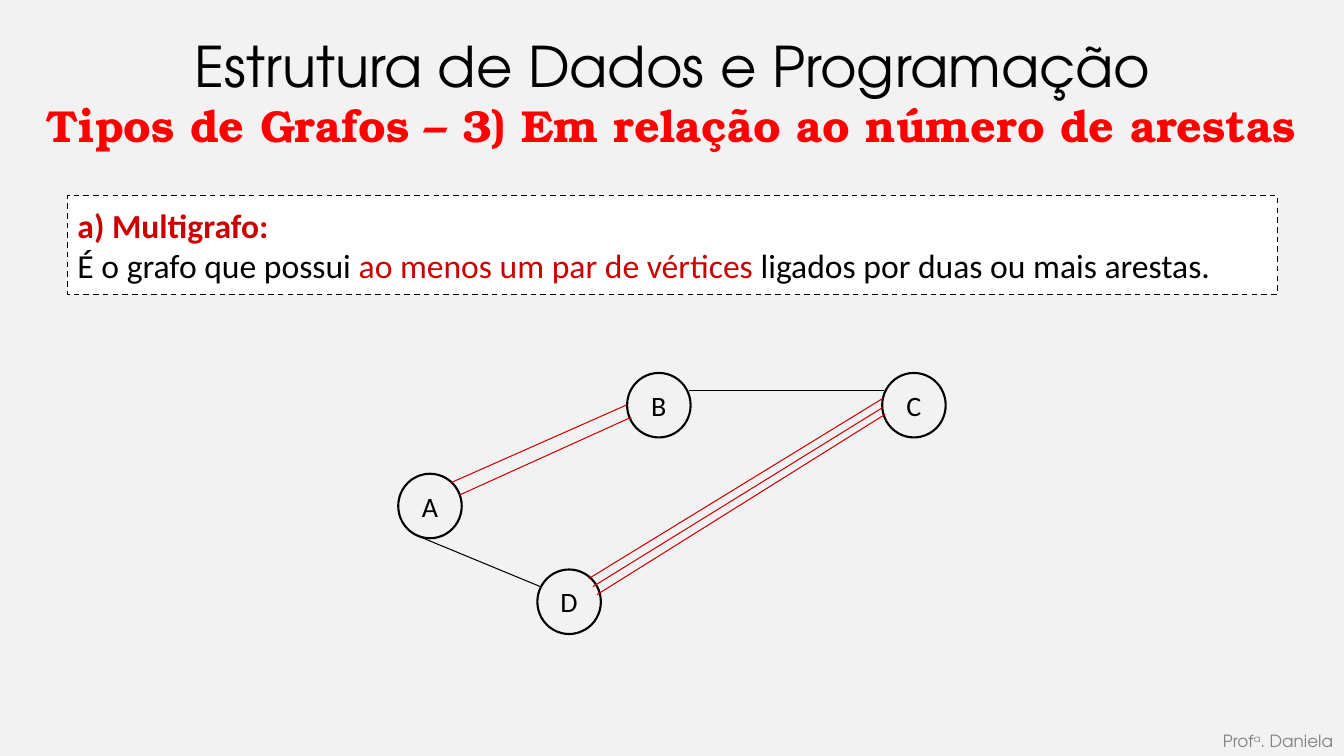
from pptx import Presentation
from pptx.dml.color import RGBColor
from pptx.enum import dml, shapes, text
from pptx.oxml.ns import qn
from pptx.util import Inches, Pt
from lxml import etree

SANS, HEAD, SERIF = "Calibri", "TeX Gyre Adventor", "TeX Gyre Bonum"
BLACK, RED = "000000", "CC0000"
ALIGN = text.PP_ALIGN


def paint(color, code):
    color.rgb = RGBColor.from_string(code)


def style(run, size, name, code, bold=False):
    run.font.size, run.font.name, run.font.bold = Pt(size), name, bold
    paint(run.font.color, code)


def outline(line, code, width):
    line.width = Pt(width)
    line.fill.solid()
    paint(line.fill.fore_color, code)


def label(slide, box, parts, size, name, code, align, bold=False):
    """Add one line of text made of parts and return its runs."""
    frame = slide.shapes.add_textbox(*map(Inches, box)).text_frame
    frame.word_wrap = True
    frame.vertical_anchor = text.MSO_ANCHOR.MIDDLE
    par = frame.paragraphs[0]
    par.alignment = align
    for part in parts:
        run = par.add_run()
        run.text = part
        style(run, size, name, code, bold)
    return par.runs


def define(slide, box):
    """Add the dashed box with the definition."""
    panel = slide.shapes.add_shape(shapes.MSO_SHAPE.RECTANGLE, *map(Inches, box))
    panel.shadow.inherit = False
    panel.fill.solid()
    paint(panel.fill.fore_color, "FFFFFF")
    outline(panel.line, BLACK, 1)
    panel.line.dash_style = dml.MSO_LINE.DASH
    frame = panel.text_frame
    frame.word_wrap = True
    frame.vertical_anchor = text.MSO_ANCHOR.MIDDLE
    rows = [
        [("a) Multigrafo:", RED, True)],
        [("É o grafo que possui ", BLACK, False),
         ("ao menos um par de vértices", RED, False),
         (" ligados por duas ou mais arestas.", BLACK, False)],
    ]
    for i, row in enumerate(rows):
        par = frame.add_paragraph() if i else frame.paragraphs[0]
        par.alignment = ALIGN.LEFT
        for words, code, bold in row:
            run = par.add_run()
            run.text = words
            style(run, 24, SANS, code, bold)


def node(group, name, x, y):
    disc = group.shapes.add_shape(
        shapes.MSO_SHAPE.OVAL, *map(Inches, (x, y, 0.63, 0.64)))
    disc.shadow.inherit = False
    disc.fill.background()
    outline(disc.line, BLACK, 1.5)
    frame = disc.text_frame
    frame.margin_left = frame.margin_right = 0
    frame.vertical_anchor = text.MSO_ANCHOR.MIDDLE
    frame.text = name
    par = frame.paragraphs[0]
    par.alignment = ALIGN.CENTER
    style(par.runs[0], 20, SANS, BLACK)


def edge(group, ends, code):
    line = group.shapes.add_connector(
        shapes.MSO_CONNECTOR.STRAIGHT, *map(Inches, ends))
    outline(line.line, code, 0.75)
    etree.SubElement(line._element.spPr, qn("a:effectLst"))


def graph(slide, left, top):
    """Add the multigraph with its corner at left, top."""
    group = slide.shapes.add_group_shape()
    nodes = {"B": (2.27, 0), "A": (0, 1), "D": (1.38, 1.95), "C": (4.8, 0)}
    for name, (x, y) in nodes.items():
        node(group, name, left + x, top + y)
    edges = [
        (0.52, 1.09, 2.26, 0.32, RED),
        (0.61, 1.21, 2.31, 0.44, RED),
        (1.89, 2.04, 4.81, 0.25, RED),
        (1.93, 2.12, 4.81, 0.34, RED),
        (1.97, 2.2, 4.83, 0.41, RED),
        (2.88, 0.17, 4.82, 0.17, BLACK),
        (0.2, 1.62, 1.41, 2.12, BLACK),
    ]
    for x, y, x2, y2, code in edges:
        edge(group, (left + x, top + y, left + x2, top + y2), code)


def main():
    deck = Presentation()
    deck.slide_width, deck.slide_height = Inches(13.33), Inches(7.5)
    slide = deck.slides.add_slide(deck.slide_layouts[6])
    slide.background.fill.solid()
    paint(slide.background.fill.fore_color, "F2F2F2")

    define(slide, (0.67, 1.94, 12, 0.98))
    graph(slide, 3.95, 3.7)
    prof = label(slide, (9.75, 7.2, 3.57, 0.3), ["Prof", "a", ". Daniela"],
                 12, HEAD, "808080", ALIGN.RIGHT)
    prof[1]._r.get_or_add_rPr().set("baseline", "30000")
    label(slide, (0.67, 0.02, 12, 1.25), ["Estrutura de Dados e Programação"],
          40, HEAD, BLACK, ALIGN.CENTER)
    label(slide, (0.26, 0.92, 12.81, 0.63),
          ["Tipos de Grafos – 3) Em relação ao número de arestas"],
          32, SERIF, "FF0000", ALIGN.CENTER, True)
    deck.save("out.pptx")


if __name__ == "__main__":
    main()
